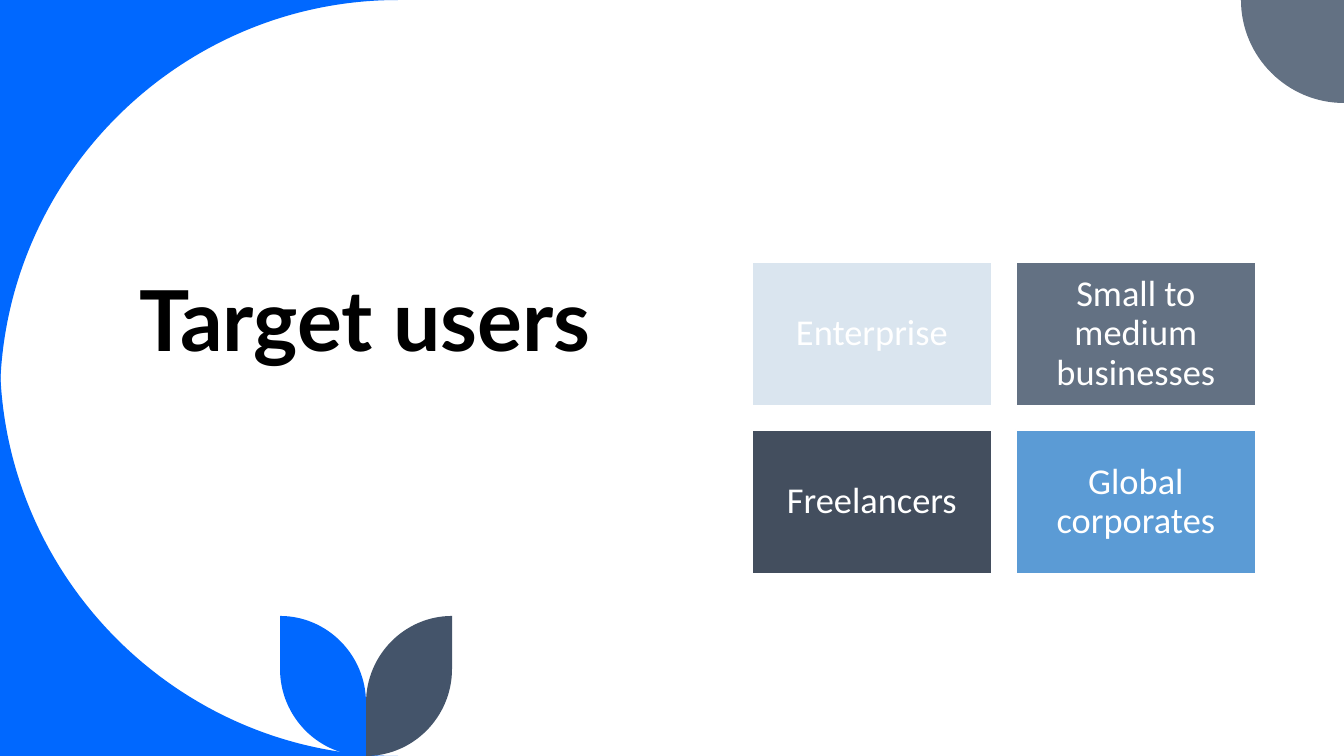
from lxml import etree
from pptx import Presentation
from pptx.dml.color import RGBColor
from pptx.enum.shapes import MSO_SHAPE as SHAPE
from pptx.enum.text import MSO_ANCHOR as ANCHOR, PP_ALIGN as ALIGN
from pptx.oxml.ns import qn
from pptx.util import Pt

PX = 914400 / 100.8
W, H = 1344, 756

BLACK = RGBColor(0x00, 0x00, 0x00)
WHITE = RGBColor(0xFF, 0xFF, 0xFF)
BLUE = RGBColor(0x00, 0x68, 0xFF)
SLATE = RGBColor(0x63, 0x71, 0x83)
NAVY = RGBColor(0x44, 0x54, 0x6A)
PALE = RGBColor(0xDA, 0xE5, 0xEF)
DARK = RGBColor(0x43, 0x4E, 0x5E)
SKY = RGBColor(0x5B, 0x9B, 0xD5)


def add_outline(s, start, segments, color):
    """Draw a filled outline; a segment is [end] for a line or [corner, end] for a quarter arc."""
    points, curves = [start], []
    for *corner, end in segments:
        for cx, cy in corner:
            curves.append(len(points) - 1)
            points += [(x + 0.55 * (cx - x), y + 0.55 * (cy - y)) for x, y in (points[-1], end)]
        points.append(end)
    points = [(x * PX, y * PX) for x, y in points]
    builder = s.shapes.build_freeform(*points[0], scale=1.0)
    builder.add_line_segments(points[1:], close=True)
    sp = builder.convert_to_shape()
    sp.shadow.inherit = False
    sp.fill.solid()
    sp.fill.fore_color.rgb = color
    sp.line.fill.background()
    lines = list(sp._element.iter(qn("a:lnTo")))
    for i in curves:
        curve = etree.Element(qn("a:cubicBezTo"))
        lines[i].addprevious(curve)
        for line in lines[i:i + 3]:
            curve.append(line[0])
            line.getparent().remove(line)


def add_text(sp, text, font, size, color, bold=False, align=ALIGN.LEFT,
             spacing=1.0, inset=10, bottom=10):
    tf = sp.text_frame
    tf.word_wrap = True
    tf.vertical_anchor = ANCHOR.MIDDLE
    tf.margin_left = tf.margin_right = tf.margin_top = round(inset * PX)
    tf.margin_bottom = round(bottom * PX)
    p = tf.paragraphs[0]
    p.alignment = align
    p.line_spacing = spacing
    r = p.add_run()
    r.text = text
    r.font.name = font
    r.font.size = Pt(size)
    r.font.bold = bold
    r.font.color.rgb = color


prs = Presentation()
prs.slide_width, prs.slide_height = round(W * PX), round(H * PX)
s = prs.slides.add_slide(prs.slide_layouts[6])

# Curved corners
R, SMALL_R = 398, 103
add_outline(s, (0, 0), [[(R, 0)], [(0, 0), (0, R)]], BLUE)
add_outline(s, (0, H - R), [[(0, H), (R, H)], [(0, H)]], BLUE)
add_outline(s, (W, 0), [[(W - SMALL_R, 0)], [(W - SMALL_R, SMALL_R), (W, SMALL_R)]], SLATE)

# Two leaves mirrored about the stem
STEM, LEAF_TOP = 366, 616
for tip, color in ((STEM - 86, BLUE), (STEM + 86, NAVY)):
    add_outline(s, (tip, LEAF_TOP), [
        [(tip, 669)],
        [(tip, H), (STEM, H)],
        [(STEM, 703)],
        [(STEM, LEAF_TOP), (tip, LEAF_TOP)],
    ], color)

# The deep bottom inset lifts the title above the middle
title = s.shapes.add_textbox(*(round(v * PX) for v in (129, 151, 605, 454)))
add_text(title, "Target users", "Lato", 60, BLACK, bold=True, spacing=0.8, bottom=112)

# Two by two grid of user groups
LEFT, TOP, CARD_W, CARD_H, GAP = 752, 262, 240, 144, 24
cards = [
    ("Enterprise", PALE),
    ("Small to medium businesses", SLATE),
    ("Freelancers", DARK),
    ("Global corporates", SKY),
]
for i, (label, color) in enumerate(cards):
    row, col = divmod(i, 2)
    box = (LEFT + col * (CARD_W + GAP), TOP + row * (CARD_H + GAP), CARD_W, CARD_H)
    sp = s.shapes.add_shape(SHAPE.RECTANGLE, *(round(v * PX) for v in box))
    sp.shadow.inherit = False
    sp.fill.solid()
    sp.fill.fore_color.rgb = color
    sp.line.color.rgb = WHITE
    sp.line.width = Pt(1)
    add_text(sp, label, "Calibri", 26, WHITE, align=ALIGN.CENTER, spacing=0.9, inset=11, bottom=11)

prs.save("out.pptx")
